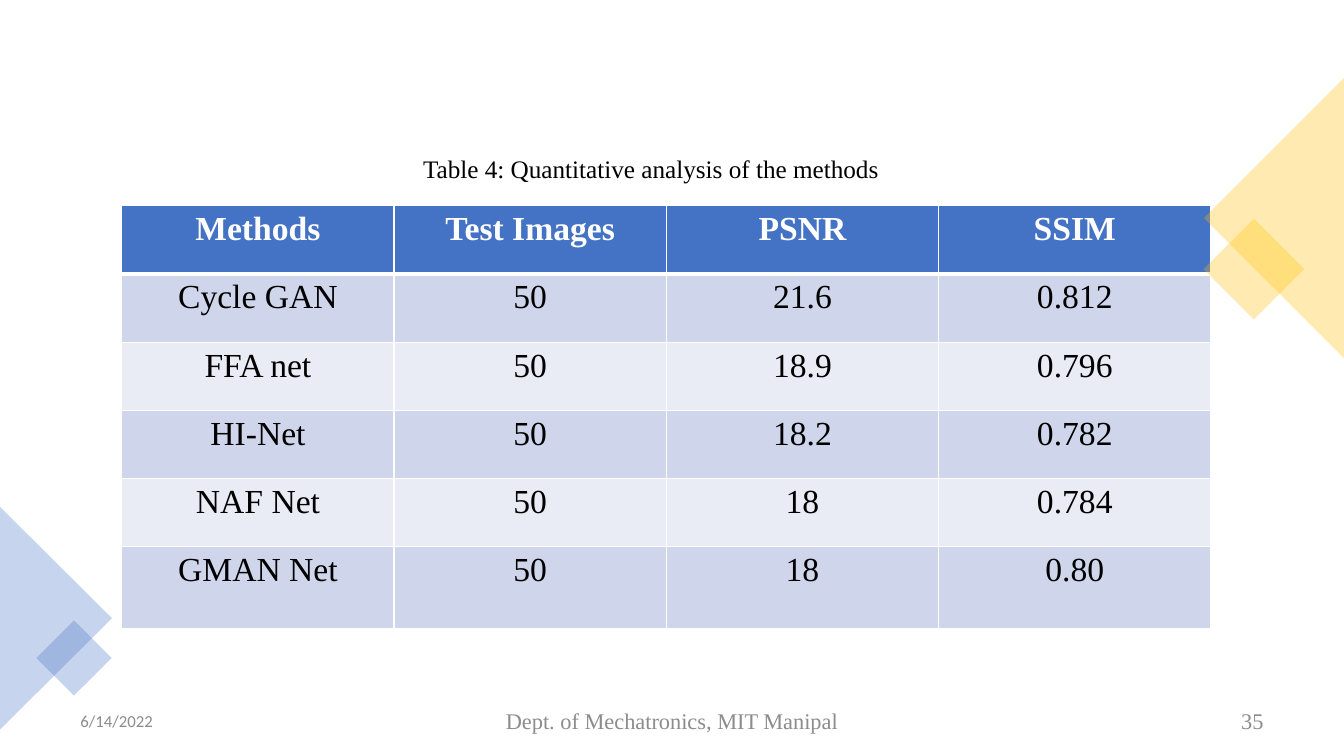
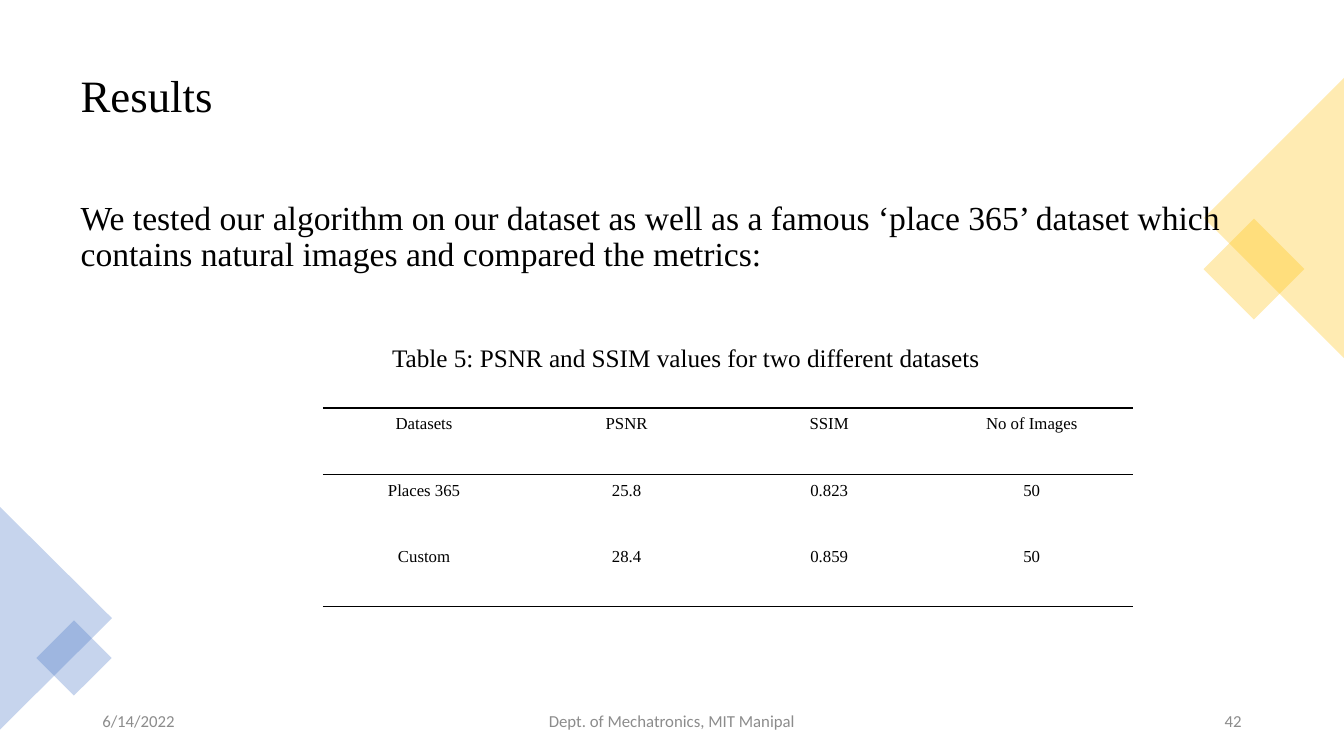
"""Build two result slides with shared corner shapes, footers and tables."""
import lxml.etree
import pptx
import pptx.dml.color
import pptx.enum.shapes
import pptx.enum.text
import pptx.oxml.ns
import pptx.util

Pt = pptx.util.Pt
qn = pptx.oxml.ns.qn
ALIGN = pptx.enum.text.PP_ALIGN
MIDDLE = pptx.enum.text.MSO_ANCHOR.MIDDLE
KIND = pptx.enum.shapes.MSO_SHAPE

WIDE, HIGH = 960, 540
SERIF, SANS = "Times New Roman", "Calibri"
BLACK, WHITE, GREY = "000000", "FFFFFF", "8C8C8C"
BLUE, GOLD = "4472C4", "FFC000"
BANDS = "E9EBF5", "CFD5EA"


def tint(code):
    """Turn a hex string into a colour."""
    return pptx.dml.color.RGBColor.from_string(code)


def write(frame, text, size, font=SERIF, color=BLACK, align=ALIGN.LEFT, bold=False):
    """Add one formatted run to the first paragraph of a frame."""
    para = frame.paragraphs[0]
    para.alignment = align
    run = para.add_run()
    run.text = text
    run.font.size = Pt(size)
    run.font.name = font
    run.font.bold = bold
    run.font.color.rgb = tint(color)
    return para


def label(slide, box, text, size, **style):
    """Add a wrapped text box, centred vertically."""
    frame = slide.shapes.add_textbox(*map(Pt, box)).text_frame
    frame.word_wrap = True
    frame.vertical_anchor = MIDDLE
    write(frame, text, size, **style)


def pane(slide, kind, mid, size, turn, color):
    """Add a turned, see-through shape around its middle."""
    (x, y), (w, h) = mid, size
    shape = slide.shapes.add_shape(kind, Pt(x - w / 2), Pt(y - h / 2), Pt(w), Pt(h))
    shape.rotation = turn
    shape.shadow.inherit = False
    shape.line.fill.background()
    shape.fill.solid()
    shape.fill.fore_color.rgb = tint(color)
    code = shape.element.spPr.find(".//" + qn("a:srgbClr"))
    lxml.etree.SubElement(code, qn("a:alpha"), val="30000")


def corners(slide, box):
    """Draw the gold and blue corner shapes on the sides of the box."""
    x, y, w, h = box
    right, foot = x + w, y + h
    pane(slide, KIND.RECTANGLE, (right - 64.3, y + 192.2), (51, 51), 45, GOLD)
    pane(slide, KIND.ISOSCELES_TRIANGLE, (right - 50, y + 155.7), (200, 100), 270, GOLD)
    pane(slide, KIND.ISOSCELES_TRIANGLE, (x + 40, foot - 98.4), (159, 80), 90, BLUE)
    pane(slide, KIND.RECTANGLE, (x + 52.8, foot - 70), (38, 38), 45, BLUE)


def footer(slide, box, page, size, font):
    """Place the date, department and page number along the box."""
    x, y, w, h = box
    label(slide, (x, y, 216, h), "6/14/2022", 12, font=SANS, color=GREY)
    label(slide, (x + w / 2 - 162, y, 324, h), "Dept. of Mechatronics, MIT Manipal",
          size, font=font, color=GREY, align=ALIGN.CENTER)
    label(slide, (x + w - 216, y, 216, h), page, size,
          font=font, color=GREY, align=ALIGN.RIGHT)


def edge(cell, widths, color):
    """Set left, right, top and bottom borders, where zero means none."""
    props = cell._tc.get_or_add_tcPr()
    for side, width in zip("LRTB", widths):
        line = lxml.etree.SubElement(props, qn("a:ln" + side), w=str(Pt(width)))
        if width:
            fill = lxml.etree.SubElement(line, qn("a:solidFill"))
            lxml.etree.SubElement(fill, qn("a:srgbClr"), val=color)
        else:
            lxml.etree.SubElement(line, qn("a:noFill"))


def grid(slide, box, rows, tall, look):
    """Add a table of equal columns whose cells are styled by look."""
    wide = box[2] / len(rows[0])
    table = slide.shapes.add_table(len(rows), len(rows[0]), *map(Pt, box)).table
    table.first_row = table.horz_banding = False
    for col in table.columns:
        col.width = Pt(wide)
    for i, (row, high) in enumerate(zip(rows, tall)):
        table.rows[i].height = Pt(high)
        for j, text in enumerate(row):
            look(table.cell(i, j), i, text)


def banded(cell, i, text):
    """Style a cell of the banded table."""
    head = i == 0
    edge(cell, (1, 1, 3 if i == 1 else 1, 3 if head else 1), WHITE)
    cell.fill.solid()
    cell.fill.fore_color.rgb = tint(BLUE if head else BANDS[i % 2])
    write(cell.text_frame, text, 24, color=WHITE if head else BLACK,
          align=ALIGN.CENTER, bold=head)


def ruled(cell, i, text):
    """Style a cell of the table with rules only."""
    edge(cell, (0, 0, int(i < 2), int(i != 1)), BLACK)
    cell.fill.background()
    cell.margin_left = cell.margin_right = Pt(5)
    cell.margin_top = cell.margin_bottom = Pt(5)
    write(cell.text_frame, text, 12, align=ALIGN.CENTER)


def fill(slide, holder, box, text, size):
    """Move a placeholder to the front and into the box, then fill it."""
    holder.left, holder.top, holder.width, holder.height = map(Pt, box)
    slide.shapes.element.append(holder.element)
    frame = holder.text_frame
    frame.word_wrap = True
    frame.auto_size = pptx.enum.text.MSO_AUTO_SIZE.NONE
    props = frame.paragraphs[0]._p.get_or_add_pPr()
    props.set("marL", "0")
    props.set("indent", "0")
    lxml.etree.SubElement(props, qn("a:buNone"))
    para = write(frame, text, size)
    para.line_spacing = 0.9
    para.space_before = Pt(0)
    return frame


def methods(deck, box):
    """Build the slide that compares the methods."""
    x, y, w, h = box
    slide = deck.slides.add_slide(deck.slide_layouts[6])
    rows = [
        ("Methods", "Test Images", "PSNR", "SSIM"),
        ("Cycle GAN", "50", "21.6", "0.812"),
        ("FFA net", "50", "18.9", "0.796"),
        ("HI-Net", "50", "18.2", "0.782"),
        ("NAF Net", "50", "18", "0.784"),
        ("GMAN Net", "50", "18", "0.80"),
    ]
    tall = [48.75] * 5 + [58.5]
    grid(slide, (x + 87, y + 147, 778, sum(tall)), rows, tall, banded)
    corners(slide, box)
    label(slide, (x + 284, y + 106, 362, 29),
          "Table 4: Quantitative analysis of the methods", 18, align=ALIGN.CENTER)
    footer(slide, (x + 50.4, y + h - 39.6, w - 100.8, 28.8), "35", 16, SERIF)


def results(deck, box):
    """Build the slide that compares the datasets."""
    x, y, w, h = box
    slide = deck.slides.add_slide(deck.slide_layouts[1])
    corners(slide, box)
    title = fill(slide, slide.shapes.title, (x + 50.4, y + 25.2, w - 100.8, 89.3),
                 "Results", 32)
    title.vertical_anchor = MIDDLE
    fill(slide, slide.placeholders[1], (x + 50.4, y + 140.4, w - 100.8, 70),
         "We tested our algorithm on our dataset as well as a famous ‘place 365’ "
         "dataset which contains natural images and compared the metrics:", 24)
    label(slide, (x + 260, y + 241, 460, 29),
          "Table 5: PSNR and SSIM values for two different datasets", 18,
          align=ALIGN.CENTER)
    rows = [
        ("Datasets", "PSNR", "SSIM", "No of Images"),
        ("Places 365", "25.8", "0.823", "50"),
        ("Custom", "28.4", "0.859", "50"),
    ]
    tall = [47.3] * 3
    grid(slide, (x + 230.6, y + 291.4, 578.8, sum(tall)), rows, tall, ruled)
    footer(slide, (x + 66, y + h - 39.6, w - 132, 28.8), "42", 12, SANS)


def main():
    """Build and save the deck."""
    deck = pptx.Presentation()
    deck.slide_width, deck.slide_height = Pt(WIDE), Pt(HIGH)
    page = (0, 0, WIDE, HIGH)
    methods(deck, page)
    results(deck, page)
    deck.save("out.pptx")


if __name__ == "__main__":
    main()
